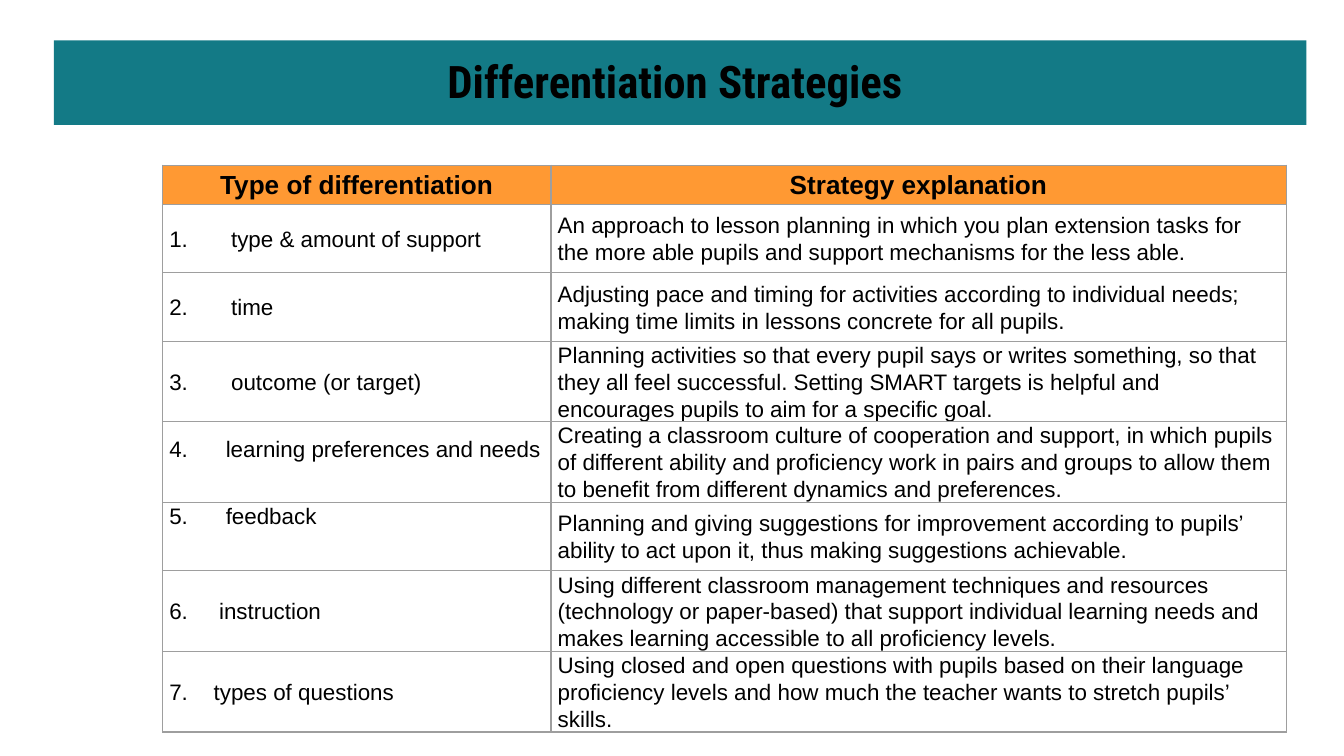
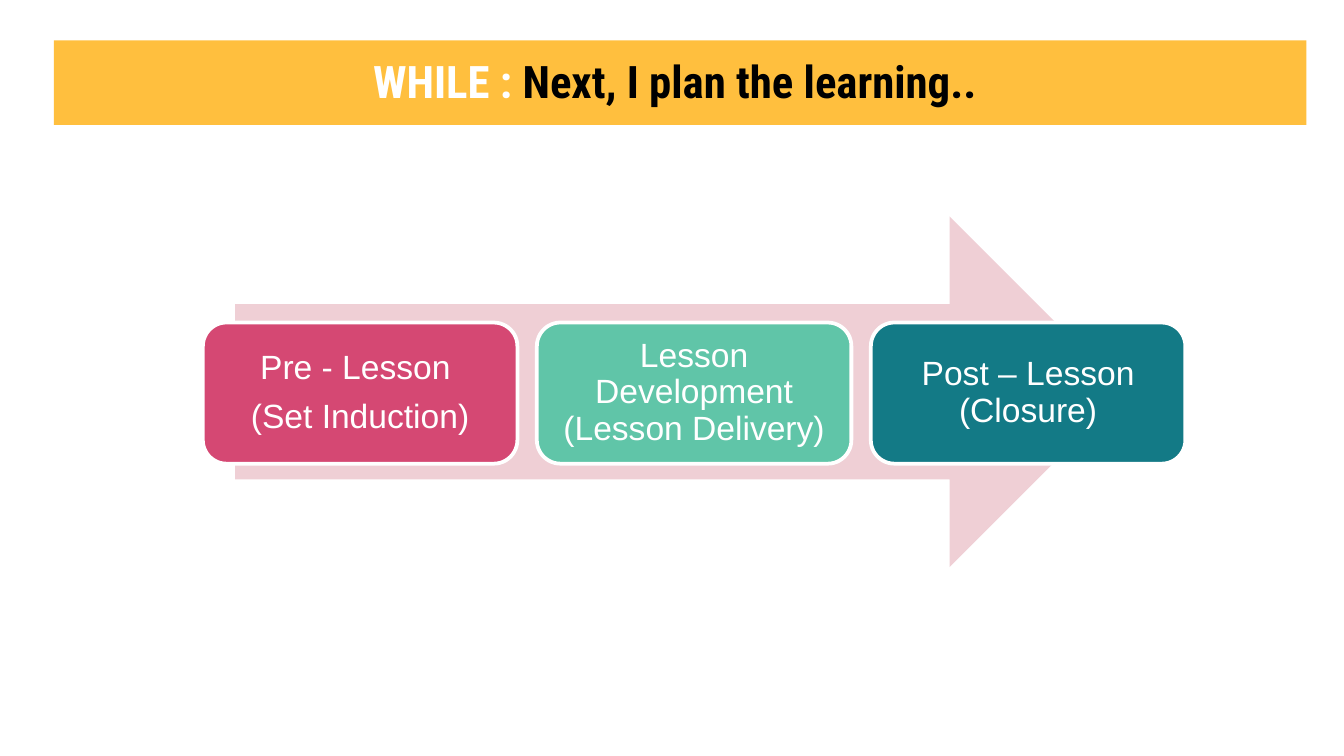
from dataclasses import dataclass

from pptx import Presentation
from pptx import util as u
from pptx.dml.color import RGBColor
from pptx.enum import shapes, text
from pptx.oxml import parse_xml
from pptx.oxml.ns import nsdecls


@dataclass(frozen=True)
class Theme:
    black: str = "000000"
    white: str = "FFFFFF"
    teal: str = "137A86"
    yellow: str = "FFBF3E"
    orange: str = "FF9933"
    pink: str = "D54873"
    pale_pink: str = "EFCFD5"
    mint: str = "60C5A8"
    border: str = "9E9E9E"
    title_font: str = "Roboto Condensed"
    body_font: str = "Arial"
    title_size: int = 24
    stage_size: int = 18
    header_size: int = 14
    cell_size: int = 12


THEME = Theme()


@dataclass(frozen=True)
class Strategy:
    kind: str
    explanation: str
    height: float
    indent: float
    anchor: text.MSO_ANCHOR = text.MSO_ANCHOR.MIDDLE
    bottom: float = 0


@dataclass(frozen=True)
class Stage:
    paragraphs: tuple[str, ...]
    fill: str


STRATEGIES = (
    Strategy("type & amount of support",
             "An approach to lesson planning in which you plan extension tasks for the more able "
             "pupils and support mechanisms for the less able.", 0.51, 0.46),
    Strategy("time",
             "Adjusting pace and timing for activities according to individual needs; making time "
             "limits in lessons concrete for all pupils.", 0.51, 0.46),
    Strategy("outcome (or target)",
             "Planning activities so that every pupil says or writes something, so that they all "
             "feel successful. Setting SMART targets is helpful and encourages pupils to aim for a "
             "specific goal.", 0.59, 0.46),
    Strategy("learning preferences and needs",
             "Creating a classroom culture of cooperation and support, in which pupils of different "
             "ability and proficiency work in pairs and groups to allow them to benefit from "
             "different dynamics and preferences.", 0.59, 0.42, bottom=0.2),
    Strategy("feedback",
             "Planning and giving suggestions for improvement according to pupils’ ability to act "
             "upon it, thus making suggestions achievable.", 0.51, 0.42,
             anchor=text.MSO_ANCHOR.TOP),
    Strategy("instruction",
             "Using different classroom management techniques and resources (technology or "
             "paper-based) that support individual learning needs and makes learning accessible to "
             "all proficiency levels.", 0.59, 0.37),
    Strategy("types of questions",
             "Using closed and open questions with pupils based on their language proficiency "
             "levels and how much the teacher wants to stretch pupils’ skills.", 0.59, 0.33),
)

STAGES = (
    Stage(("Pre - Lesson ", "(Set Induction)"), THEME.pink),
    Stage(("Lesson Development (Lesson Delivery)",), THEME.mint),
    Stage(("Post – Lesson (Closure)",), THEME.teal),
)


def add_run(paragraph, words: str, font: str, size: int, color: str, bold: bool = False) -> None:
    run = paragraph.add_run()
    run.text = words
    run.font.name = font
    run.font.size = u.Pt(size)
    run.font.bold = bold
    run.font.color.rgb = RGBColor.from_string(color)


def set_margins(target, side: float, top: float, bottom: float) -> None:
    target.margin_left = target.margin_right = u.Inches(side)
    target.margin_top, target.margin_bottom = u.Inches(top), u.Inches(bottom)


def paint(target, color: str) -> None:
    target.fill.solid()
    target.fill.fore_color.rgb = RGBColor.from_string(color)


def add_titled_slide(presentation, band: str, *title_runs: tuple[str, str]):
    """Add a slide whose title is a coloured band; each run is (words, colour)."""
    slide = presentation.slides.add_slide(presentation.slide_layouts[5])
    title = slide.shapes.title
    title.left, title.top = u.Inches(0.4), u.Inches(0.3)
    title.width, title.height = u.Inches(9.32), u.Inches(0.63)
    paint(title, band)
    frame = title.text_frame
    frame.auto_size = text.MSO_AUTO_SIZE.NONE
    frame.vertical_anchor = text.MSO_ANCHOR.TOP
    set_margins(frame, 0.1, 0.1, 0.1)
    paragraph = frame.paragraphs[0]
    paragraph.alignment = text.PP_ALIGN.CENTER
    for words, color in title_runs:
        add_run(paragraph, words, THEME.title_font, THEME.title_size, color, bold=True)
    return slide


def add_borders(cell) -> None:
    properties = cell._tc.get_or_add_tcPr()
    for side in "LRTB":
        properties.append(parse_xml(
            f'<a:ln{side} {nsdecls("a")} w="{u.Pt(0.75)}"><a:solidFill>'
            f'<a:srgbClr val="{THEME.border}"/></a:solidFill></a:ln{side}>'))


def fill_cell(cell, words: str, header: bool = False, bottom: float = 0,
              anchor: text.MSO_ANCHOR = text.MSO_ANCHOR.MIDDLE):
    """Format a table cell, write its words and return its paragraph."""
    add_borders(cell)
    set_margins(cell, 0.05, 0, bottom)
    cell.vertical_anchor = anchor
    paragraph = cell.text_frame.paragraphs[0]
    paragraph.line_spacing = 1.07
    paragraph.space_after = u.Pt(8)
    if header:
        paint(cell, THEME.orange)
        paragraph.alignment = text.PP_ALIGN.CENTER
    else:
        cell.fill.background()
    size = THEME.header_size if header else THEME.cell_size
    add_run(paragraph, words, THEME.body_font, size, THEME.black, bold=header)
    return paragraph


def set_hanging_indent(paragraph, indent: float) -> None:
    properties = paragraph._p.get_or_add_pPr()
    properties.set("marL", str(u.Inches(indent)))
    properties.set("indent", str(-u.Inches(indent)))


def add_strategy_table(slide) -> None:
    widths = (2.89, 5.47)
    heights = (0.29, *(strategy.height for strategy in STRATEGIES))
    table = slide.shapes.add_table(
        len(heights), len(widths), u.Inches(1.21), u.Inches(1.23),
        u.Inches(sum(widths)), u.Inches(sum(heights))).table
    table.first_row = table.horz_banding = False
    for column, width in zip(table.columns, widths):
        column.width = u.Inches(width)
    for row, height in zip(table.rows, heights):
        row.height = u.Inches(height)
    for column, heading in enumerate(("Type of differentiation", "Strategy explanation")):
        fill_cell(table.cell(0, column), heading, header=True)
    for number, strategy in enumerate(STRATEGIES, start=1):
        paragraph = fill_cell(table.cell(number, 0), f"{number}.\t{strategy.kind}",
                              bottom=strategy.bottom, anchor=strategy.anchor)
        set_hanging_indent(paragraph, strategy.indent)
        fill_cell(table.cell(number, 1), strategy.explanation)


def add_block(group, preset: shapes.MSO_SHAPE, left: float, top: float,
              width: float, height: float, color: str):
    shape = group.shapes.add_shape(
        preset, u.Inches(left), u.Inches(top), u.Inches(width), u.Inches(height))
    shape.shadow.inherit = False
    paint(shape, color)
    shape.line.fill.background()
    return shape


def add_stage(group, stage: Stage, left: float, width: float) -> None:
    shape = add_block(group, shapes.MSO_SHAPE.ROUNDED_RECTANGLE, left, 2.4, width, 1.05, stage.fill)
    shape.line.color.rgb = RGBColor.from_string(THEME.white)
    shape.line.width = u.Pt(2)
    frame = shape.text_frame
    frame.word_wrap = True
    frame.vertical_anchor = text.MSO_ANCHOR.MIDDLE
    set_margins(frame, 0.07, 0.07, 0.07)
    for index, words in enumerate(stage.paragraphs):
        paragraph = frame.add_paragraph() if index else frame.paragraphs[0]
        paragraph.alignment = text.PP_ALIGN.CENTER
        paragraph.line_spacing = 0.9
        paragraph.space_after = u.Pt(6.3)
        add_run(paragraph, words, THEME.body_font, THEME.stage_size, THEME.white)


def add_lesson_flow(slide) -> None:
    group = slide.shapes.add_group_shape()
    add_block(group, shapes.MSO_SHAPE.RIGHT_ARROW, 1.75, 1.61, 6.62, 2.61, THEME.pale_pink)
    left, right, width = 1.51, 8.82, 2.34
    pitch = (right - left - width) / (len(STAGES) - 1)
    for index, stage in enumerate(STAGES):
        add_stage(group, stage, left + index * pitch, width)


def main() -> None:
    presentation = Presentation()
    presentation.slide_width = u.Inches(10)
    presentation.slide_height = u.Inches(10 * 9 / 16)
    strategies = add_titled_slide(
        presentation, THEME.teal, ("Differentiation Strategies ", THEME.black))
    add_strategy_table(strategies)
    lesson = add_titled_slide(presentation, THEME.yellow, ("WHILE : ", THEME.white),
                              ("Next, I plan the learning.. ", THEME.black))
    add_lesson_flow(lesson)
    presentation.save("out.pptx")


if __name__ == "__main__":
    main()
